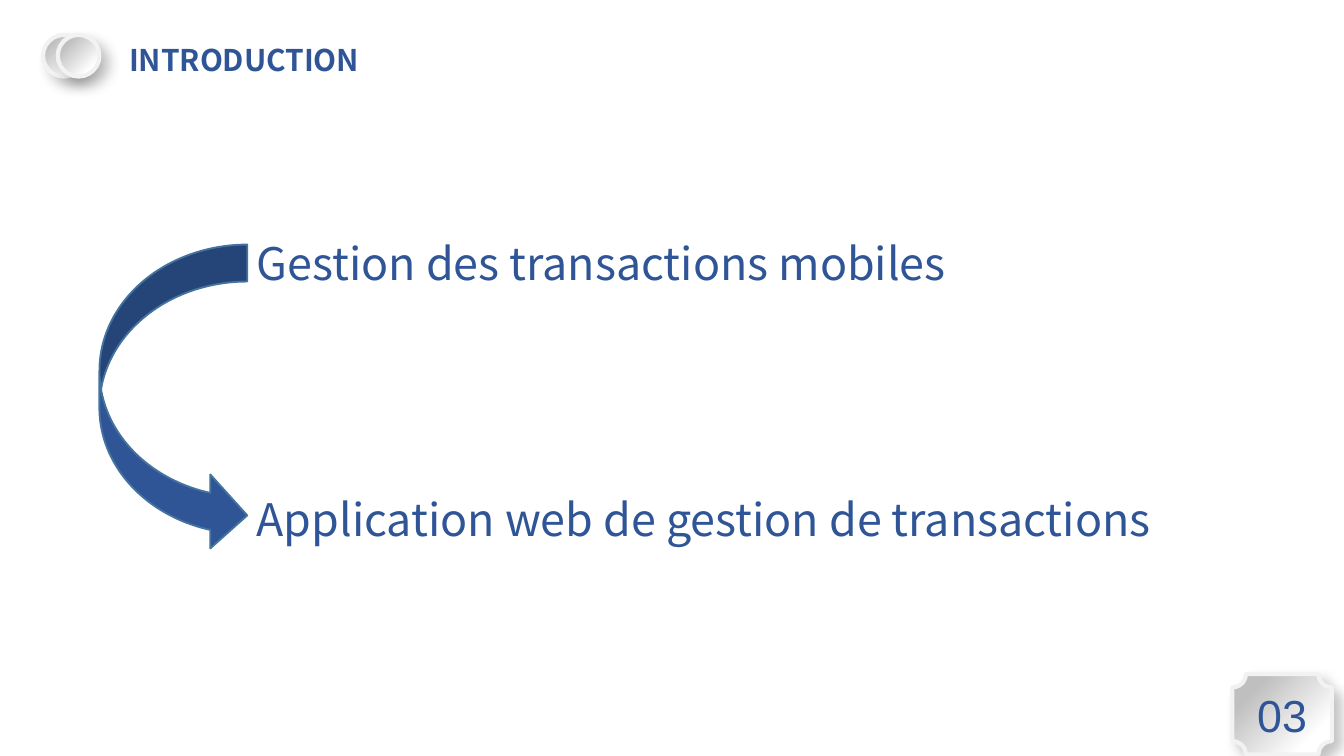
from lxml import etree
from pptx import Presentation
from pptx.dml.color import RGBColor
from pptx.enum.shapes import MSO_SHAPE
from pptx.enum.text import MSO_ANCHOR, MSO_AUTO_SIZE, PP_ALIGN
from pptx.oxml.ns import qn
from pptx.util import Inches, Pt

ELLIPSE, PLAQUE = MSO_SHAPE.OVAL, MSO_SHAPE.PLAQUE
CURVED_ARROW = MSO_SHAPE.CURVED_RIGHT_ARROW
LEFT, CENTER = PP_ALIGN.LEFT, PP_ALIGN.CENTER
TOP, MIDDLE = MSO_ANCHOR.TOP, MSO_ANCHOR.MIDDLE
NO_AUTOFIT = MSO_AUTO_SIZE.NONE

WIDTH = 10
HEIGHT = WIDTH * 9 / 16
COLORS = {
    "blue": "2F5597",
    "outline": "43739E",
    "silver": "BFBFBF",
    "white": "FFFFFF",
    "rim": "F2F2F2",
    "shadow": "000000",
}
HEADING_FONT = "Noto Sans CJK SC"
NUMBER_FONT = "Arial"


def rgb(name):
    return RGBColor.from_string(COLORS[name])


def place(sp, box):
    sp.left, sp.top, sp.width, sp.height = [Inches(v) for v in box]


def write(sp, text, size, font=HEADING_FONT, bold=False, align=LEFT, anchor=TOP):
    tf = sp.text_frame
    tf.text = text
    tf.word_wrap = True
    tf.auto_size = NO_AUTOFIT
    tf.vertical_anchor = anchor
    p = tf.paragraphs[0]
    p.alignment = align
    p.space_before = Pt(0)
    r = p.runs[0]
    r.font.name = font
    r.font.size = Pt(size)
    r.font.bold = bold
    r.font.color.rgb = rgb("blue")


def remove_bullet(sp):
    pPr = sp.text_frame.paragraphs[0]._p.get_or_add_pPr()
    pPr.set("marL", "0")
    pPr.set("indent", "0")
    etree.SubElement(pPr, qn("a:buNone"))


def add_shadow(sp):
    sp.shadow.inherit = False
    effects = sp._element.spPr.find(qn("a:effectLst"))
    shadow = etree.SubElement(
        effects, qn("a:outerShdw"), blurRad=str(Pt(7)), dist=str(Pt(5.9)),
        dir="2700000", algn="tl", rotWithShape="0")
    color = etree.SubElement(shadow, qn("a:srgbClr"), val=COLORS["shadow"])
    etree.SubElement(color, qn("a:alpha"), val="23000")


def add_metal_shape(s, kind, box):
    sp = s.shapes.add_shape(kind, *[Inches(v) for v in box])
    sp.fill.gradient()
    sp.fill.gradient_angle = 315
    stops = zip(sp.fill.gradient_stops, ((0.2, "silver"), (0.8, "white")))
    for stop, (position, color) in stops:
        stop.position = position
        stop.color.rgb = rgb(color)
    sp.line.color.rgb = rgb("rim")
    sp.line.width = Pt(2.25)
    add_shadow(sp)
    return sp


def add_header(s, box, text):
    left, top, width, height = box
    disc, overlap_step, title_offset = 0.31, 0.11, 0.54
    for i in range(2):
        add_metal_shape(s, ELLIPSE, (left + i * overlap_step, top, disc, disc))
    title = s.shapes.title
    place(title, (left + title_offset, top, width - title_offset, height))
    write(title, text, 16, bold=True)


def add_transition(s, box, lines):
    left, top, width, height = box
    arrow_width, text_offset, line_height, arrow_drop = 1.1, 1.07, 0.5, 0.12
    step = (height - line_height) / (len(lines) - 1)
    for i, text in enumerate(lines):
        body = s.placeholders[i + 1]
        place(body, (left + text_offset, top + i * step,
                     width - text_offset, line_height))
        write(body, text, 24)
        remove_bullet(body)
    arrow = s.shapes.add_shape(CURVED_ARROW, *[Inches(v) for v in (
        left, top + arrow_drop, arrow_width, height - arrow_drop)])
    arrow.fill.solid()
    arrow.fill.fore_color.rgb = rgb("blue")
    arrow.line.color.rgb = rgb("outline")
    arrow.line.width = Pt(1)
    arrow.shadow.inherit = False


def add_page_number(s, box, number):
    sp = add_metal_shape(s, PLAQUE, box)
    write(sp, number, 24, font=NUMBER_FONT, align=CENTER, anchor=MIDDLE)


def main():
    prs = Presentation()
    prs.slide_width, prs.slide_height = Inches(WIDTH), Inches(HEIGHT)
    s = prs.slides.add_slide(prs.slide_layouts[3])
    add_header(s, (0.32, 0.26, 2.81, 0.37), "INTRODUCTION")
    add_transition(s, (0.74, 1.7, 8.3, 2.41), (
        "Gestion des transactions mobiles",
        "Application web de gestion de transactions",
    ))
    add_page_number(s, (WIDTH - 0.83, HEIGHT - 0.61, 0.74, 0.6), "03")
    prs.save("out.pptx")


if __name__ == "__main__":
    main()
